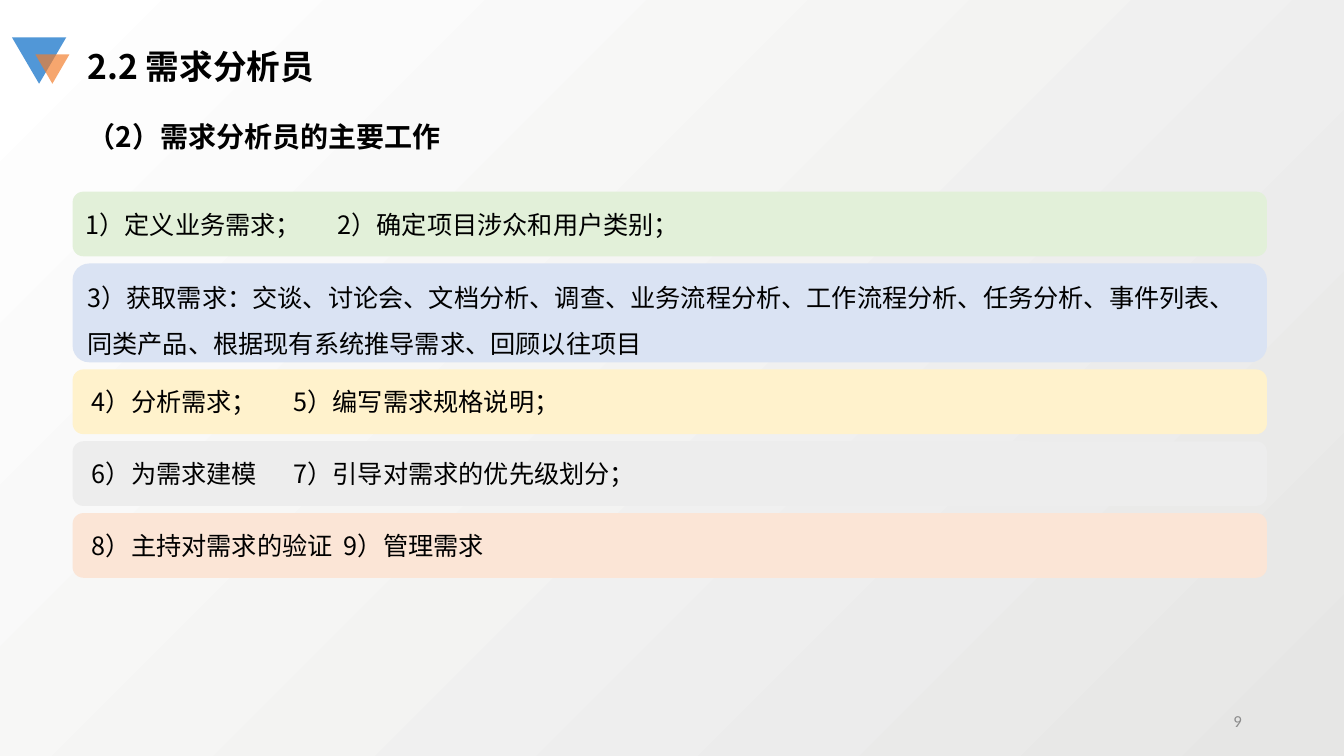
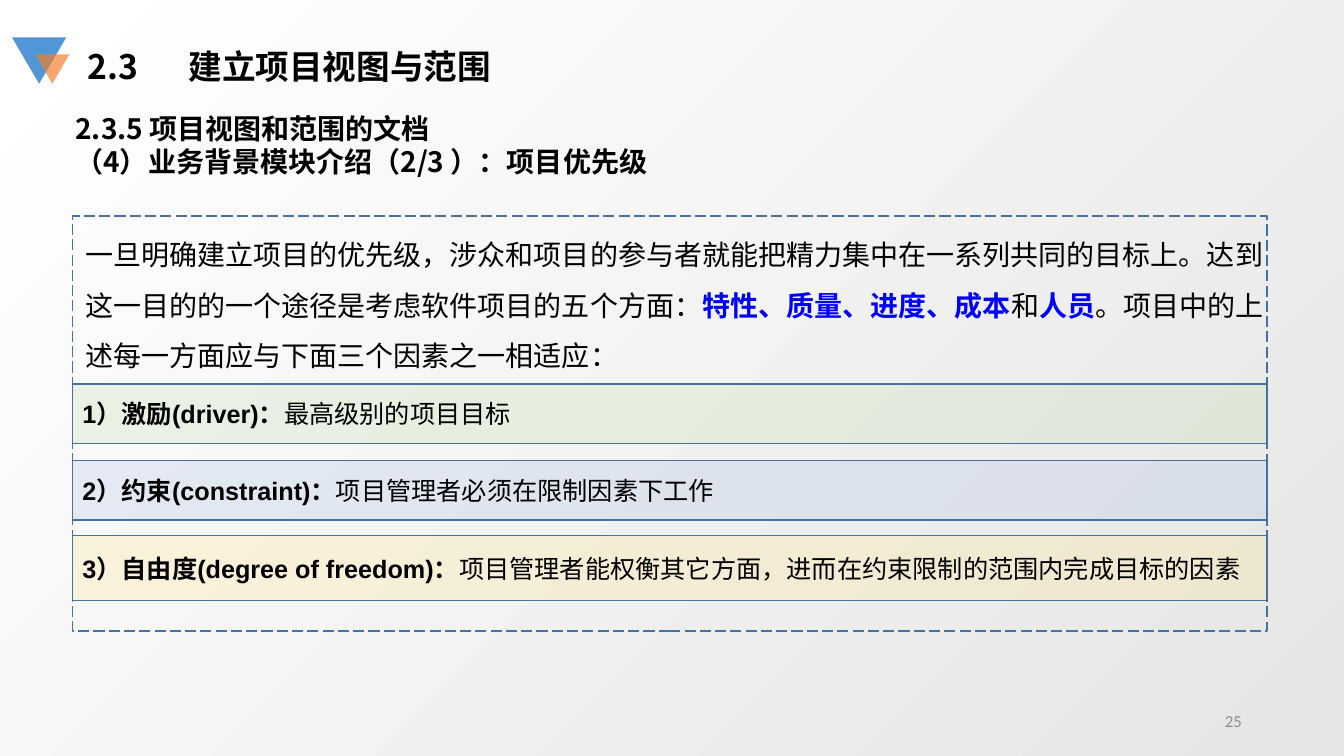
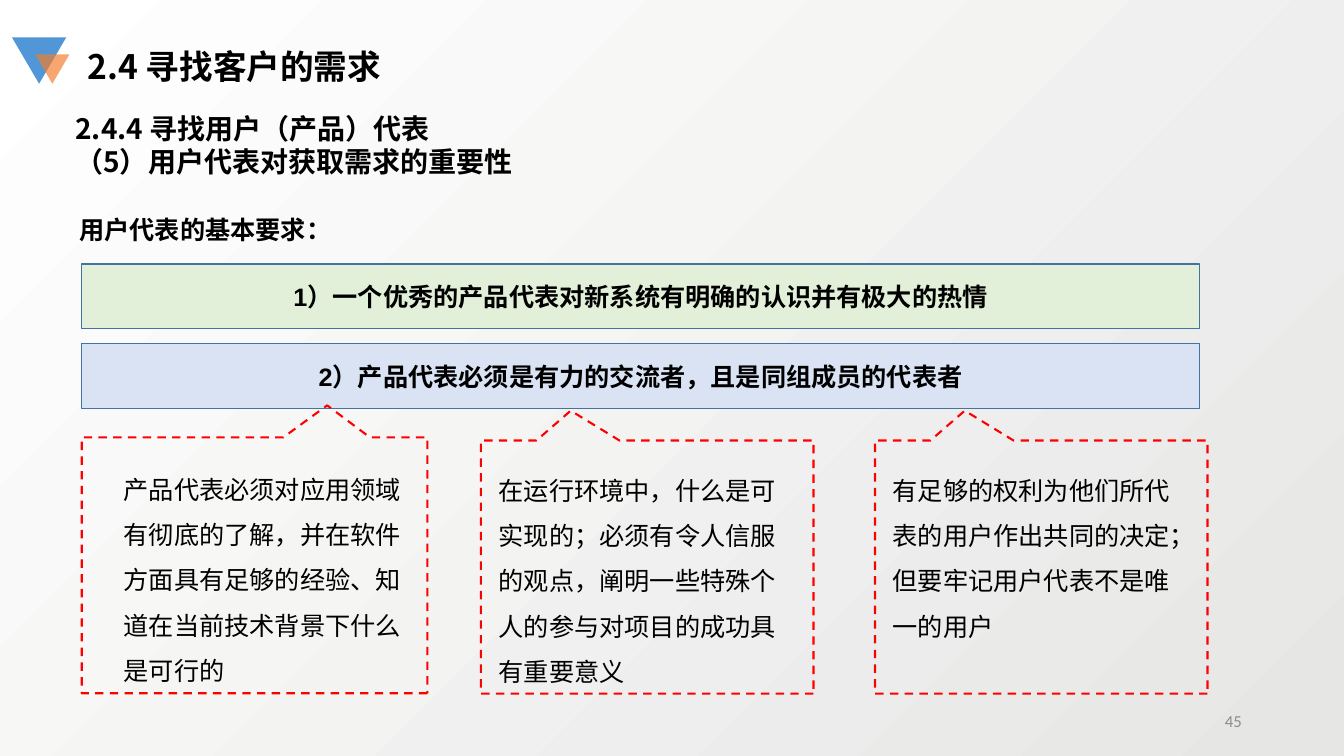
import pptx
import pptx.util
import pptx.dml.color
import pptx.enum.dml
import pptx.enum.shapes
import pptx.enum.text
import pptx.oxml.ns
import lxml.etree

Cm, Pt = pptx.util.Cm, pptx.util.Pt
Kind = pptx.enum.shapes.MSO_SHAPE
Dash = pptx.enum.dml.MSO_LINE
Align = pptx.enum.text.PP_ALIGN
Anchor = pptx.enum.text.MSO_ANCHOR
qn = pptx.oxml.ns.qn

# Shared look
NOTO, ARIAL, CALIBRI = "Noto Sans CJK SC", "Arial", "Calibri"
BLACK, BLUE, RED, GREY, EDGE = "000000", "0000FF", "FF0000", "8C8C8C", "43739E"
MARKS = [((0.3, 0.94, 1.37, 1.17), "5197D7", None),
         ((0.89, 1.37, 0.86, 0.74), "F37D2A", 68)]
LEFT, WIDE, BAR = 1.83, 30.1, 1.63

# Content: title, title tab, heading lines, heading place, page number
HEADS = [
    ("2.2 需求分析员", None, ["（2）需求分析员的主要工作"], (1.96, 2.87, 21.56, 1.12), "9"),
    ("2.3\t建立项目视图与范围", 1.89,
     ["2.3.5 项目视图和范围的文档", "（4）业务背景模块介绍（2/3 ）：项目优先级"],
     (1.65, 2.67, 23.34, 1.96), "25"),
    ("2.4 寻找客户的需求", None,
     ["2.4.4 寻找用户（产品）代表", "（5）用户代表对获取需求的重要性"],
     (1.65, 2.67, 23.34, 1.96), "45"),
]
# Fill, height, left inset, tab, line spacing, text
TASKS = [
    ("E2F0D9", BAR, 0.25, 9.05, None, "1）定义业务需求；\t2）确定项目涉众和用户类别；"),
    ("DAE3F3", 2.49, 0.25, None, 1.5,
     "3）获取需求：交谈、讨论会、文档分析、调查、业务流程分析、工作流程分析、任务分析、"
     "事件列表、同类产品、根据现有系统推导需求、回顾以往项目"),
    ("FFF2CC", BAR, 0.41, 8.3, None, "4）分析需求；\t5）编写需求规格说明；"),
    ("EDEDED", BAR, 0.41, 8.3, None, "6）为需求建模\t7）引导对需求的优先级划分；"),
    ("FBE5D6", BAR, 0.41, 8.92, None, "8）主持对需求的验证\t9）管理需求"),
]
INTRO = [
    ("一旦明确建立项目的优先级，涉众和项目的参与者就能把精力集中在一系列共同的目标上。"
     "达到这一目的的一个途径是考虑软件项目的五个方面：", False, BLACK),
    ("特性、质量、进度、成本", True, BLUE), ("和", False, BLACK), ("人员", True, BLUE),
    ("。项目中的上述每一方面应与下面三个因素之一相适应：", False, BLACK),
]
# Top, height, fill, term, meaning
FACTORS = [
    (9.68, 1.5, "C5E0B4", "1）激励(driver)：", "最高级别的项目目标"),
    (11.61, 1.5, "B4C7E7", "2）约束(constraint)：", "项目管理者必须在限制因素下工作"),
    (13.49, 1.65, "FFE699", "3）自由度(degree of freedom)：",
     "项目管理者能权衡其它方面，进而在约束限制的范围内完成目标的因素"),
]
NEEDS = [("E2F0D9", "1）一个优秀的产品代表对新系统有明确的认识并有极大的热情"),
         ("DAE3F3", "2）产品代表必须是有力的交流者，且是同组成员的代表者")]
# Callout place, pointer, text place, text
NOTES = [
    ((2.06, 11.02, 8.71, 6.45), (-0.21, 0.625), (2.87, 11.43, 7.9, 5.84),
     "产品代表必须对应用领域有彻底的了解，并在软件方面具有足够的经验、知道在当前技术背景下什么是可行的"),
    ((12.12, 11.1, 8.38, 6.38), (0.23, 0.618), (12.32, 11.46, 7.98, 5.89),
     "在运行环境中，什么是可实现的；必须有令人信服的观点，阐明一些特殊个人的参与对项目的成功具有重要意义"),
    ((22.05, 11.1, 8.38, 6.38), (0.23, 0.618), (22.25, 11.46, 7.54, 4.75),
     "有足够的权利为他们所代表的用户作出共同的决定；但要牢记用户代表不是唯一的用户"),
]


def rgb(code):
    return pptx.dml.color.RGBColor.from_string(code)


def place(shape, at):
    shape.left, shape.top, shape.width, shape.height = map(Cm, at)


def write(shape, paras, size, font=NOTO, bold=False, align=Align.LEFT,
          anchor=Anchor.TOP, space=1.0, tab=None, inset=0.25):
    """Fill a shape; each paragraph is a string or a list of (text, bold, colour)."""
    frame = shape.text_frame
    frame.word_wrap = True
    frame.auto_size = pptx.enum.text.MSO_AUTO_SIZE.NONE
    frame.vertical_anchor = anchor
    frame.margin_left = Cm(inset)
    frame.margin_right = Cm(0.25)
    frame.margin_top = frame.margin_bottom = Cm(0.13)
    for i, runs in enumerate(paras):
        para = frame.paragraphs[0] if i == 0 else frame.add_paragraph()
        para.alignment, para.line_spacing = align, space
        para.space_before = para.space_after = Pt(0)
        props = para._p.get_or_add_pPr()
        props.set("marL", "0")
        props.set("indent", "0")
        lxml.etree.SubElement(props, qn("a:buNone"))
        if tab:
            tabs = lxml.etree.SubElement(props, qn("a:tabLst"))
            lxml.etree.SubElement(tabs, qn("a:tab"), pos=str(Cm(tab)), algn="l")
        for text, heavy, tint in [(runs, bold, BLACK)] if isinstance(runs, str) else runs:
            run = para.add_run()
            run.text = text
            run.font.size, run.font.bold, run.font.name = Pt(size), heavy, font
            run.font.color.rgb = rgb(tint)
            if font == NOTO:
                lxml.etree.SubElement(run._r.get_or_add_rPr(), qn("a:ea"), typeface=font)


def label(slide, at, paras, size, **style):
    write(slide.shapes.add_textbox(*map(Cm, at)), paras, size, **style)


def block(slide, kind, at, fill=None, alpha=None, line=None, width=1, dash=None):
    shape = slide.shapes.add_shape(kind, *map(Cm, at))
    shape.shadow.inherit = False
    if fill:
        shape.fill.solid()
        shape.fill.fore_color.rgb = rgb(fill)
        if alpha:
            tint = shape.fill._xPr.find(".//" + qn("a:srgbClr"))
            lxml.etree.SubElement(tint, qn("a:alpha"), val=str(alpha * 1000))
    else:
        shape.fill.background()
    if line:
        shape.line.color.rgb = rgb(line)
        shape.line.width = Pt(width)
        if dash:
            shape.line.dash_style = dash
    else:
        shape.line.fill.background()
    return shape


def start(deck, title, tab, lines, at, page):
    """Add a slide with the marks, title, heading and page number."""
    slide = deck.slides.add_slide(deck.slide_layouts[1])
    head, body = slide.placeholders
    place(head, (1.96, 1.02, 21.56, 1.27))
    write(head, [title], 24, bold=True, tab=tab)
    place(body, at)
    write(body, lines, 20, bold=True)
    for spot, fill, alpha in MARKS:
        block(slide, Kind.ISOSCELES_TRIANGLE, spot, fill, alpha).rotation = 180
    label(slide, (23.93, 17.65, 7.62, 1.02), [[(page, False, GREY)]], 12,
          font=CALIBRI, align=Align.RIGHT, anchor=Anchor.MIDDLE)
    return slide


def tasks(slide):
    top = 4.83
    for fill, high, inset, tab, space, text in TASKS:
        bar = block(slide, Kind.ROUNDED_RECTANGLE, (LEFT, top, WIDE, high), fill)
        write(bar, [text], 18, anchor=Anchor.MIDDLE, space=space or 1.0, tab=tab, inset=inset)
        top += high + 0.18


def factors(slide):
    label(slide, (1.9, 5.44, 30.38, 4.09), [INTRO], 20, font=ARIAL, space=1.5)
    for top, high, fill, term, text in FACTORS:
        bar = block(slide, Kind.RECTANGLE, (LEFT, top, WIDE, high), fill, 30, EDGE)
        write(bar, [[(term, True, BLACK), (text, False, BLACK)]], 18,
              font=ARIAL, anchor=Anchor.MIDDLE)
    block(slide, Kind.RECTANGLE, (LEFT, 5.44, WIDE, 10.46), line=EDGE, dash=Dash.LONG_DASH)


def needs(slide):
    label(slide, (1.75, 5.26, 16.94, 1.02), ["用户代表的基本要求："], 18, bold=True)
    for i, (fill, text) in enumerate(NEEDS):
        bar = block(slide, Kind.RECTANGLE, (2.06, 6.65 + 2.01 * i, 28.17, BAR), fill, line=EDGE)
        write(bar, [text], 18, font=ARIAL, bold=True, align=Align.CENTER, anchor=Anchor.MIDDLE)
    for at, tip, spot, text in NOTES:
        note = block(slide, Kind.RECTANGULAR_CALLOUT, at, line=RED, width=1.5, dash=Dash.DASH)
        note.rotation = 180
        note.adjustments[0], note.adjustments[1] = tip
        label(slide, spot, [text], 18, font=ARIAL, space=1.5)


def main():
    deck = pptx.Presentation()
    deck.slide_width, deck.slide_height = Cm(33.87), Cm(19.05)
    # Background on the master
    fill = deck.slide_master.background.fill
    fill.gradient()
    fill.gradient_angle = 135
    for stop, tint in zip(fill.gradient_stops, ("E6E6E5", "FFFFFF")):
        stop.color.rgb = rgb(tint)
    for head, draw in zip(HEADS, (tasks, factors, needs)):
        draw(start(deck, *head))
    deck.save("out.pptx")


if __name__ == "__main__":
    main()
